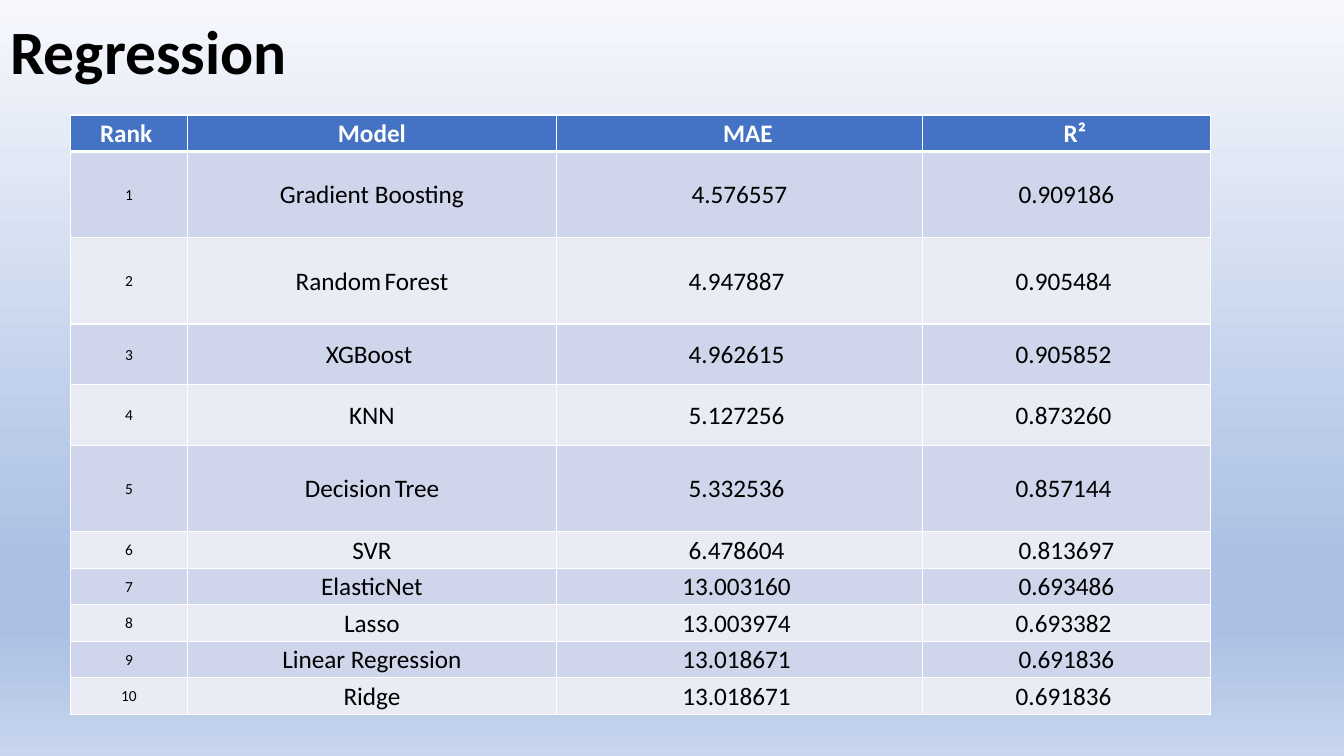
from dataclasses import dataclass

from lxml import etree
from pptx import Presentation
from pptx.dml.color import RGBColor
from pptx.enum.text import MSO_ANCHOR, PP_ALIGN
from pptx.oxml.ns import qn
from pptx.util import Pt

CENTER = PP_ALIGN.CENTER
LEFT = PP_ALIGN.LEFT
MIDDLE = MSO_ANCHOR.MIDDLE


@dataclass(frozen=True)
class Theme:
    font: str = "Calibri"
    title_size: float = 44
    text_size: float = 18
    rank_size: float = 11
    text: str = "000000"
    header_text: str = "FFFFFF"
    header_fill: str = "4472C4"
    bands: tuple = ("CFD5EA", "E9EBF5")
    border: str = "FFFFFF"
    background: tuple = ((0, "F6F8FC"), (74, "ABC0E4"), (83, "ABC0E4"), (100, "C7D5ED"))


THEME = Theme()

TALL, MEDIUM, SHORT = 61.6, 43.4, 26.1
COLUMN_WIDTHS = (83.5, 263.6, 261.4, 205.8)
HEADERS = (("Rank ", 0), ("Model", 0), ("MAE", 12), ("R²", 12))
RESULTS = (
    (("Gradient Boosting",), "4.576557", "0.909186", TALL),
    (("Random", "Forest"), "4.947887 ", "0.905484 ", TALL),
    (("XGBoost ",), "4.962615 ", "0.905852 ", MEDIUM),
    (("KNN",), "5.127256 ", "0.873260 ", MEDIUM),
    (("Decision", "Tree"), "5.332536 ", "0.857144 ", TALL),
    (("SVR",), "6.478604 ", "0.813697", SHORT),
    (("ElasticNet",), "13.003160 ", "0.693486", SHORT),
    (("Lasso",), "13.003974 ", "0.693382 ", SHORT),
    (("Linear Regression",), "13.018671 ", "0.691836", SHORT),
    (("Ridge",), "13.018671 ", "0.691836 ", SHORT),
)


def add_run(paragraph, text, size, color=THEME.text, bold=False):
    run = paragraph.add_run()
    run.text = text
    run.font.name = THEME.font
    run.font.size = Pt(size)
    run.font.bold = bold
    run.font.color.rgb = RGBColor.from_string(color)


def set_background(slide):
    fill = slide.background.fill
    fill.gradient()
    fill.gradient_angle = 270
    stops = slide.element.find(".//" + qn("a:gsLst"))
    for stop in list(stops):
        stops.remove(stop)
    for percent, color in THEME.background:
        stop = etree.SubElement(stops, qn("a:gs"), pos=str(percent * 1000))
        etree.SubElement(stop, qn("a:srgbClr"), val=color)


def set_title(slide, text):
    title = slide.shapes.title
    title.left, title.top, title.width, title.height = Pt(0), Pt(-13), Pt(828), Pt(104.4)
    title.text_frame.vertical_anchor = MIDDLE
    paragraph = title.text_frame.paragraphs[0]
    paragraph.alignment = LEFT
    paragraph.line_spacing = 0.9
    add_run(paragraph, text, THEME.title_size, bold=True)


def set_borders(cell, bottom_width):
    properties = cell._tc.get_or_add_tcPr()
    widths = (("a:lnL", 1), ("a:lnR", 1), ("a:lnT", 1), ("a:lnB", bottom_width))
    for index, (tag, width) in enumerate(widths):
        line = etree.Element(qn(tag), w=str(Pt(width)))
        solid = etree.SubElement(line, qn("a:solidFill"))
        etree.SubElement(solid, qn("a:srgbClr"), val=THEME.border)
        properties.insert(index, line)


def format_cell(cell, fill, bottom_width=1, indent=0):
    cell.fill.solid()
    cell.fill.fore_color.rgb = RGBColor.from_string(fill)
    cell.vertical_anchor = MIDDLE
    cell.margin_left = Pt(0.7 + indent)
    cell.margin_right = cell.margin_top = Pt(0.7)
    cell.margin_bottom = Pt(0)
    set_borders(cell, bottom_width)
    paragraph = cell.text_frame.paragraphs[0]
    paragraph.alignment = CENTER
    return paragraph


def add_words(paragraph, words):
    for index, word in enumerate(words):
        if index:
            add_run(paragraph, " ", THEME.rank_size)
        add_run(paragraph, word, THEME.text_size)


def add_results_table(slide):
    heights = [SHORT] + [result[-1] for result in RESULTS]
    frame = slide.shapes.add_table(
        len(heights), len(COLUMN_WIDTHS),
        Pt(50.4), Pt(82.2), Pt(sum(COLUMN_WIDTHS)), Pt(sum(heights)),
    )
    table = frame.table
    for column, width in zip(table.columns, COLUMN_WIDTHS):
        column.width = Pt(width)
    for row, height in zip(table.rows, heights):
        row.height = Pt(height)
    for column, (header, indent) in enumerate(HEADERS):
        paragraph = format_cell(table.cell(0, column), THEME.header_fill, 3, indent)
        add_run(paragraph, header, THEME.text_size, THEME.header_text, True)
    for rank, (model, mae, r_squared, _) in enumerate(RESULTS, start=1):
        band = THEME.bands[(rank - 1) % 2]
        paragraph = format_cell(table.cell(rank, 0), band)
        add_run(paragraph, str(rank), THEME.rank_size)
        for column, words in enumerate((model, (mae,), (r_squared,)), start=1):
            add_words(format_cell(table.cell(rank, column), band), words)


def main():
    presentation = Presentation()
    presentation.slide_width = Pt(960)
    presentation.slide_height = Pt(540)
    slide = presentation.slides.add_slide(presentation.slide_layouts[5])
    set_background(slide)
    set_title(slide, "Regression")
    add_results_table(slide)
    presentation.save("out.pptx")


if __name__ == "__main__":
    main()
